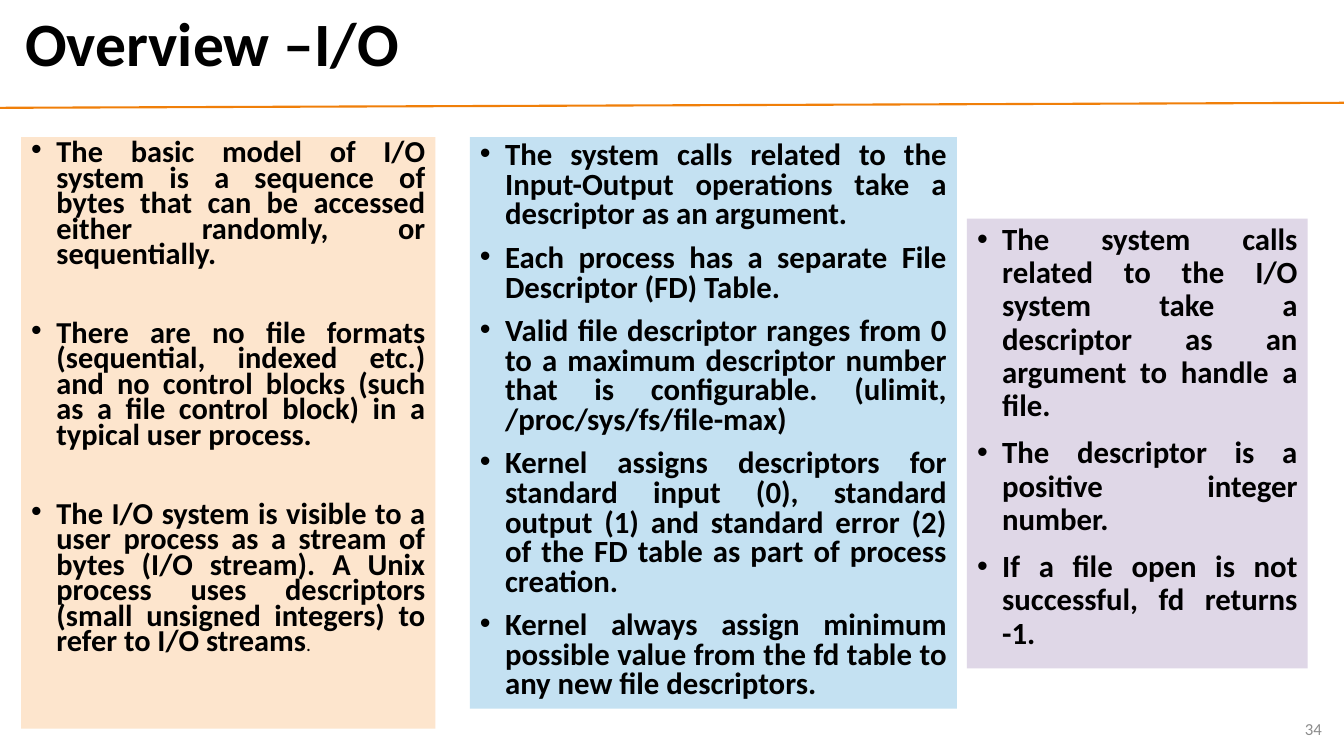
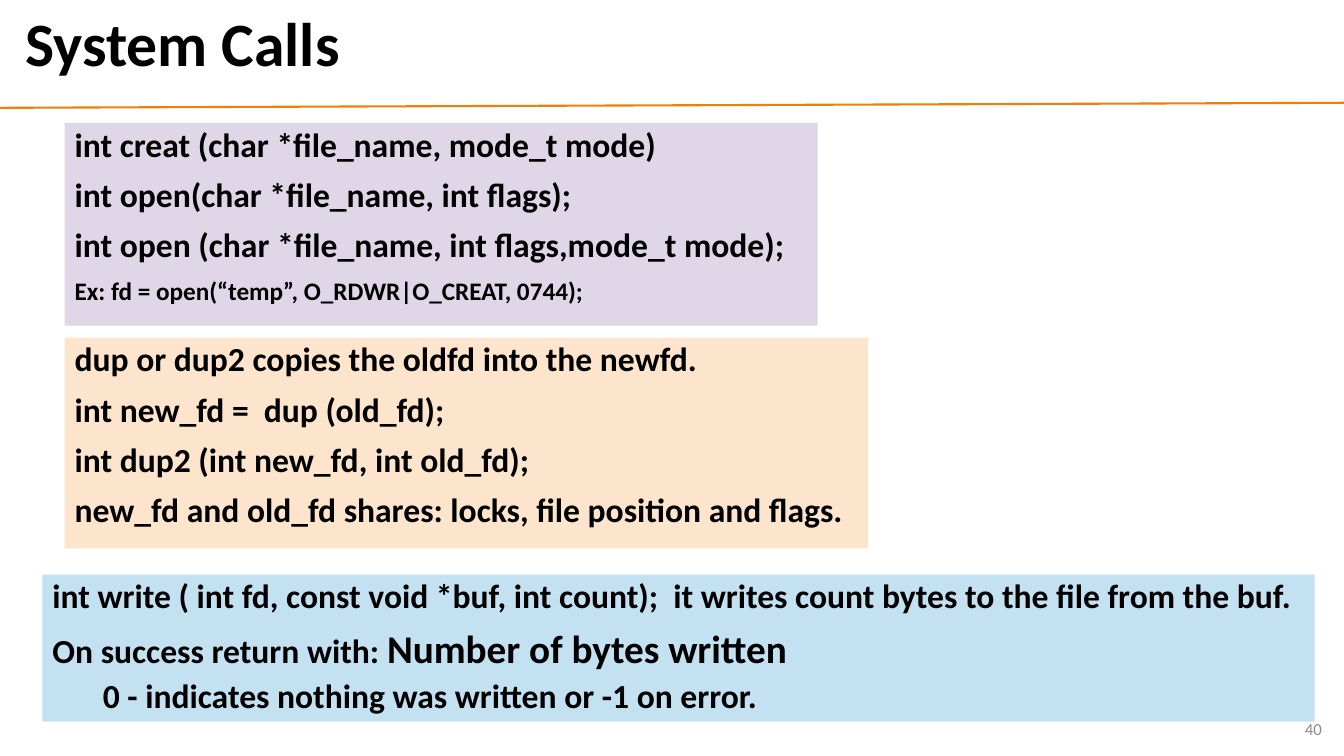
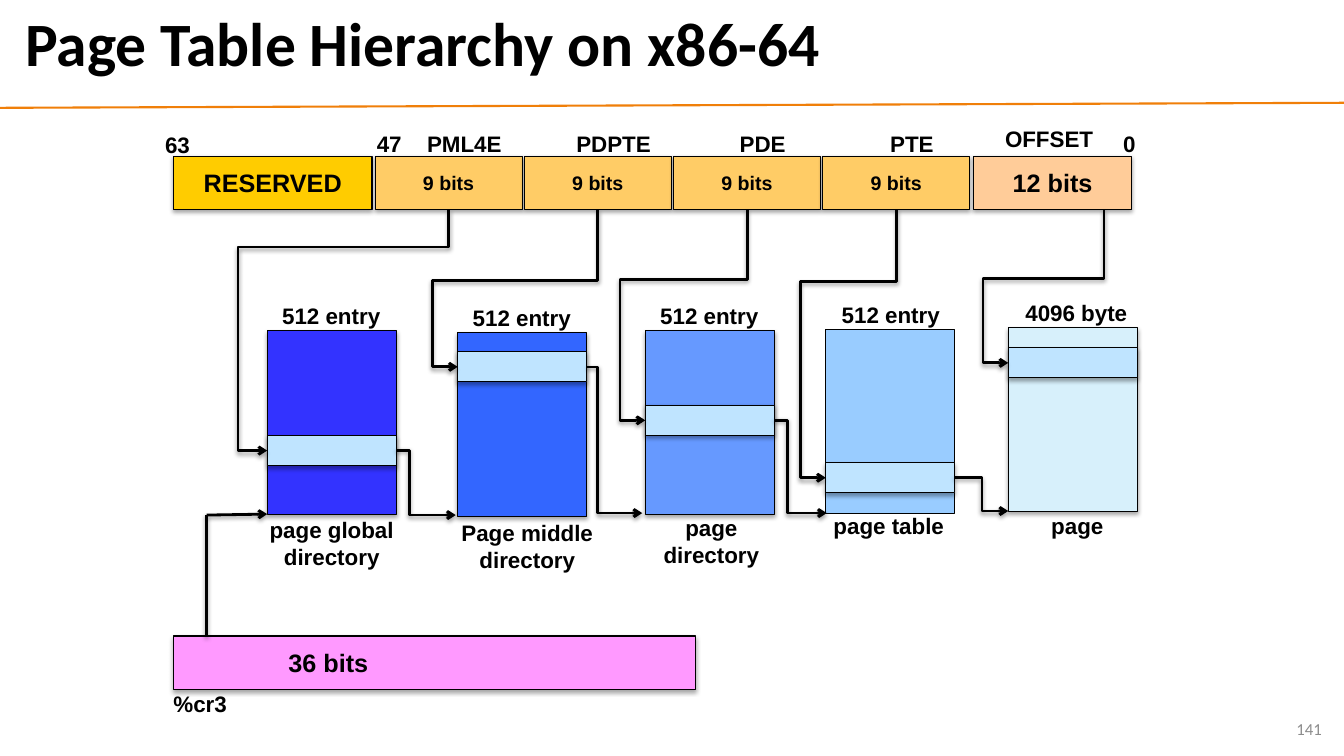
from dataclasses import dataclass

from lxml import etree
from pptx import Presentation
from pptx.dml.color import RGBColor
from pptx.enum.shapes import MSO_CONNECTOR, MSO_SHAPE
from pptx.enum.text import MSO_ANCHOR, MSO_AUTO_SIZE, PP_ALIGN
from pptx.oxml.ns import qn
from pptx.shapes.autoshape import Shape
from pptx.shapes.connector import Connector
from pptx.slide import Slide
from pptx.text.text import Font, TextFrame
from pptx.util import Emu, Pt

PX = 9144  # EMU; 100 px to the inch
PAGE_WIDTH, PAGE_HEIGHT = 1333, 750
COMPARISON_LAYOUT, TITLE_ONLY_LAYOUT = 4, 5

BLACK = RGBColor(0x00, 0x00, 0x00)
GREY = RGBColor(0x8C, 0x8C, 0x8C)
ORANGE = RGBColor(0xF0, 0x7F, 0x09)
PEACH = RGBColor(0xFD, 0xE5, 0xCD)
SKY = RGBColor(0xC4, 0xE1, 0xF2)
LILAC = RGBColor(0xDF, 0xD7, 0xE7)
GOLD = RGBColor(0xFF, 0xCC, 0x00)
AMBER = RGBColor(0xFF, 0xCC, 0x66)
APRICOT = RGBColor(0xFF, 0xCC, 0x99)
PINK = RGBColor(0xFF, 0x99, 0xFF)
SLOT_BLUE = RGBColor(0xBF, 0xE4, 0xFF)

LEFT, CENTER = PP_ALIGN.LEFT, PP_ALIGN.CENTER
RIGHT, JUSTIFY = PP_ALIGN.RIGHT, PP_ALIGN.JUSTIFY
TOP, MIDDLE = MSO_ANCHOR.TOP, MSO_ANCHOR.MIDDLE
NO_AUTOFIT = MSO_AUTO_SIZE.NONE
STRAIGHT, ELBOW = MSO_CONNECTOR.STRAIGHT, MSO_CONNECTOR.ELBOW
RECTANGLE = MSO_SHAPE.RECTANGLE
LEFT_SIDE, BOTTOM_SIDE = 1, 2

FIELD_TOP, FIELD_HEIGHT = 155, 53
FIRST_INDEX_X, INDEX_PITCH, INDEX_WIDTH = 372, 148, 146
TABLE_WIDTH, TABLE_HEIGHT, SLOT_HEIGHT = 128, 182, 30


@dataclass(frozen=True)
class Area:
    x: int
    y: int
    width: int
    height: int

    def emu(self) -> tuple[Emu, ...]:
        return tuple(Emu(n * PX) for n in (self.x, self.y, self.width, self.height))


@dataclass(frozen=True)
class Span:
    text: str
    size: float
    bold: bool = True


@dataclass(frozen=True)
class Para:
    spans: tuple[Span, ...]
    before: float = 10
    level: int = 0


@dataclass(frozen=True)
class Panel:
    area: Area
    color: RGBColor
    paras: tuple[Para, ...]
    line_spacing: float = 0.9
    bulleted: bool = False


@dataclass(frozen=True)
class Field:
    text: str
    x: int
    width: int
    color: RGBColor
    size: int = 18


@dataclass(frozen=True)
class PageTable:
    x: int
    top: int
    color: RGBColor
    slot_top: int
    turn_y: int
    lane_x: int
    heading: str
    heading_x: int
    caption: str
    caption_area: Area
    shadowed: bool = True


def plain(text: str, size: float, before: float = 10, level: int = 0) -> Para:
    return Para((Span(text, size),), before, level)


def style_font(font: Font, size: float, bold: bool = True,
               color: RGBColor = BLACK, name: str = "Calibri") -> None:
    font.name, font.size, font.bold = name, Pt(size), bold
    font.color.rgb = color


def write_line(frame: TextFrame, text: str, size: float, align: PP_ALIGN, anchor: MSO_ANCHOR,
               bold: bool = True, color: RGBColor = BLACK, name: str = "Calibri") -> None:
    frame.word_wrap = True
    frame.auto_size = NO_AUTOFIT
    frame.vertical_anchor = anchor
    para = frame.paragraphs[0]
    para.text, para.alignment = text, align
    style_font(para.font, size, bold, color, name)


def add_line(page: Slide, kind: MSO_CONNECTOR, start: tuple[int, int], end: tuple[int, int],
             color: RGBColor = BLACK, width: float = 2) -> Connector:
    line = page.shapes.add_connector(kind, *(Emu(n * PX) for n in (*start, *end)))
    line.line.color.rgb, line.line.width = color, Pt(width)
    etree.SubElement(line._element.spPr, qn("a:effectLst"))
    return line


def add_shadow(shape: Shape | Connector, alpha: int, distance: int) -> None:
    """Fill the existing effect list with a soft shadow falling straight down."""
    effects = shape._element.spPr.find(qn("a:effectLst"))
    shadow = etree.SubElement(effects, qn("a:outerShdw"), blurRad="40000", dist=str(distance),
                              dir="5400000", rotWithShape="0")
    black = etree.SubElement(shadow, qn("a:srgbClr"), val="000000")
    etree.SubElement(black, qn("a:alpha"), val=str(alpha * 1000))


def add_arrowhead(line: Connector) -> None:
    outline = line._element.spPr.find(qn("a:ln"))
    etree.SubElement(outline, qn("a:tailEnd"), type="arrow")


def set_bends(line: Connector, preset: str, *ratios: float) -> None:
    geometry = line._element.spPr.find(qn("a:prstGeom"))
    geometry.set("prst", preset)
    guides = geometry.find(qn("a:avLst"))
    if guides is None:
        guides = etree.SubElement(geometry, qn("a:avLst"))
    for number, ratio in enumerate(ratios, 1):
        etree.SubElement(guides, qn("a:gd"), name=f"adj{number}",
                         fmla=f"val {round(ratio * 100000)}")


def start_page(deck: Presentation, layout: int, title: str, number: int) -> Slide:
    page = deck.slides.add_slide(deck.slide_layouts[layout])
    add_line(page, STRAIGHT, (0, 107), (PAGE_WIDTH, 102), ORANGE, 1.5)
    box = page.shapes.title
    box.left, box.top, box.width, box.height = Area(15, 5, 1289, 83).emu()
    write_line(box.text_frame, title, 44, LEFT, MIDDLE)
    box.text_frame.paragraphs[0].line_spacing = 0.9
    footer = page.shapes.add_textbox(*Area(1021, 703, 300, 40).emu())
    write_line(footer.text_frame, str(number), 12, RIGHT, MIDDLE, False, GREY)
    return page


def fill_panel(box: Shape, panel: Panel) -> None:
    box.left, box.top, box.width, box.height = panel.area.emu()
    box.fill.solid()
    box.fill.fore_color.rgb = panel.color
    frame = box.text_frame
    frame.auto_size, frame.vertical_anchor = NO_AUTOFIT, TOP
    for index, item in enumerate(panel.paras):
        para = frame.add_paragraph() if index else frame.paragraphs[0]
        properties = para._p.get_or_add_pPr()
        properties.set("marL", str((25 + 50 * item.level) * PX))
        properties.set("indent", str(-25 * PX))
        if panel.bulleted:
            etree.SubElement(properties, qn("a:buFont"), typeface="Arial")
            etree.SubElement(properties, qn("a:buChar"), char="•")
        else:
            etree.SubElement(properties, qn("a:buNone"))
        para.level = item.level
        para.alignment = JUSTIFY if panel.bulleted else LEFT
        para.line_spacing = panel.line_spacing
        para.space_before = Pt(item.before if index else 0)
        for span in item.spans:
            run = para.add_run()
            run.text = span.text
            font = para.font if len(item.spans) == 1 else run.font
            style_font(font, span.size, span.bold)


def add_panel_page(deck: Presentation, title: str, number: int, panels: tuple[Panel, ...]) -> None:
    page = start_page(deck, COMPARISON_LAYOUT, title, number)
    bodies = [box for box in page.placeholders if box.placeholder_format.idx]
    for box, panel in zip(bodies, panels):
        fill_panel(box, panel)
    for box in bodies[len(panels):]:
        box._element.getparent().remove(box._element)


def add_block(page: Slide, area: Area, color: RGBColor, shadowed: bool = True) -> Shape:
    block = page.shapes.add_shape(RECTANGLE, *area.emu())
    block.shadow.inherit = False
    block.fill.solid()
    block.fill.fore_color.rgb = color
    block.line.color.rgb, block.line.width = BLACK, Pt(0.75)
    if shadowed:
        add_shadow(block, 35, 23000)
    return block


def add_label(page: Slide, text: str, area: Area) -> None:
    box = page.shapes.add_textbox(*area.emu())
    write_line(box.text_frame, text, 16, CENTER, TOP, name="Arial")


def add_field(page: Slide, field: Field) -> Shape:
    block = add_block(page, Area(field.x, FIELD_TOP, field.width, FIELD_HEIGHT), field.color)
    write_line(block.text_frame, field.text, field.size, CENTER, MIDDLE, name="Arial")
    return block


def add_table_block(page: Slide, table: PageTable) -> Shape:
    """Draw a table with its labels and return its highlighted slot."""
    add_block(page, Area(table.x, table.top, TABLE_WIDTH, TABLE_HEIGHT),
              table.color, table.shadowed)
    slot = add_block(page, Area(table.x, table.slot_top, TABLE_WIDTH, SLOT_HEIGHT), SLOT_BLUE)
    add_label(page, table.heading, Area(table.heading_x, table.top - 33, 141, 37))
    add_label(page, table.caption, table.caption_area)
    return slot


def link_field(page: Slide, field: Shape, slot: Shape, table: PageTable,
               start_x: int | None = None) -> None:
    """Lead from a field's bottom down, left and down again, then right into a slot."""
    middle_x = (field.left + field.width // 2) // PX
    x1, y1 = start_x or middle_x, FIELD_TOP + FIELD_HEIGHT
    x2, y2 = table.x, table.slot_top + SLOT_HEIGHT // 2
    line = add_line(page, ELBOW, (x1, y1), (x2, y2))
    if start_x is None:
        line.begin_connect(field, BOTTOM_SIDE)
    line.end_connect(slot, LEFT_SIDE)
    across, down = x1 - x2, y2 - y1
    frame = line._element.spPr.find(qn("a:xfrm"))
    for flip in ("flipH", "flipV"):
        frame.attrib.pop(flip, None)
    frame.set("rot", "5400000")
    line.left, line.top = Emu((x1 + x2 - down) * PX // 2), Emu((y1 + y2 - across) * PX // 2)
    line.width, line.height = Emu(down * PX), Emu(across * PX)
    set_bends(line, "bentConnector4", (table.turn_y - y1) / down, (x1 - table.lane_x) / across)
    add_shadow(line, 38, 20000)
    add_arrowhead(line)


def link_tables(page: Slide, table: PageTable, lane_x: int, end: tuple[int, int]) -> None:
    start_x = table.x + TABLE_WIDTH
    line = add_line(page, ELBOW, (start_x, table.slot_top + SLOT_HEIGHT // 2), end)
    set_bends(line, "bentConnector3", (lane_x - start_x) / (end[0] - start_x))
    add_shadow(line, 38, 20000)
    add_arrowhead(line)


def add_hierarchy_page(deck: Presentation) -> None:
    page = start_page(deck, TITLE_ONLY_LAYOUT, "Page Table Hierarchy on x86-64", 141)
    add_field(page, Field("RESERVED", 172, 197, GOLD))
    fields = []
    for index, name in enumerate(("PML4E", "PDPTE", "PDE", "PTE")):
        x = FIRST_INDEX_X + INDEX_PITCH * index
        fields.append(add_field(page, Field("9 bits", x, INDEX_WIDTH, AMBER, 14)))
        add_label(page, name, Area(x + 30, 124, 117, 37))
    fields.append(add_field(page, Field("12 bits", 966, 156, APRICOT)))
    add_label(page, "OFFSET", Area(982, 119, 117, 37))
    for bit, x, y in (("63", 147, 125), ("47", 357, 124), ("0", 1091, 124)):
        add_label(page, bit, Area(x, y, 58, 37))

    slots = [add_table_block(page, table) for table in TABLES]
    for field, slot, table in zip(fields, slots, TABLES):
        link_field(page, field, slot, table, 1095 if table is TABLES[-1] else None)
    hops = ((406, (452, 511)), (593, (637, 509)), (781, (820, 509)), (974, (1000, 507)))
    for table, (lane_x, end) in zip(TABLES, hops):
        link_tables(page, table, lane_x, end)

    register = add_block(page, Area(172, 631, 518, 53), PINK)
    write_line(register.text_frame, "36 bits", 18, LEFT, MIDDLE, name="Arial")
    register.text_frame.margin_left = Emu(114 * PX)
    add_label(page, "%cr3", Area(159, 680, 79, 37))
    riser = add_line(page, STRAIGHT, (205, 511), (205, 631))
    pointer = add_line(page, STRAIGHT, (205, 511), (265, 510))
    for line in (riser, pointer):
        add_shadow(line, 38, 20000)
    add_arrowhead(pointer)


TABLES = (
    PageTable(265, 328, RGBColor(0x33, 0x33, 0xFF), 432, 245, 236, "512 entry", 258,
              "page global directory", Area(249, 507, 160, 64)),
    PageTable(454, 330, RGBColor(0x33, 0x66, 0xFF), 349, 278, 429, "512 entry", 447,
              "Page middle directory", Area(443, 510, 160, 64)),
    PageTable(640, 328, RGBColor(0x66, 0x99, 0xFF), 402, 277, 615, "512 entry", 633,
              "page directory", Area(635, 505, 141, 64)),
    PageTable(819, 327, RGBColor(0x99, 0xCC, 0xFF), 459, 279, 794, "512 entry", 813,
              "page table", Area(811, 503, 141, 37), shadowed=False),
    PageTable(1000, 325, RGBColor(0xD7, 0xF0, 0xFB), 345, 276, 975, "4096 byte", 997,
              "page", Area(998, 503, 141, 37)),
)

OVERVIEW_PANELS = (
    Panel(Area(21, 136, 411, 587), PEACH, (
        plain("The basic model of I/O system is a sequence of bytes that can be accessed "
              "either randomly, or sequentially.", 21.7),
        plain("There are no file formats (sequential, indexed etc.) and no control blocks "
              "(such as a file control block) in a typical user process.", 21.7, 38),
        Para((Span("The I/O system is visible to a user process as a stream of bytes "
                   "(I/O stream). A Unix process uses descriptors (small unsigned integers) "
                   "to refer to I/O streams", 21.7), Span(".", 13.9, False)), 38),
    ), 0.7, True),
    Panel(Area(466, 136, 483, 567), SKY, tuple(plain(text, 22) for text in (
        "The system calls related to the Input-Output operations take a descriptor "
        "as an argument.",
        "Each process has a separate File Descriptor (FD) Table.",
        "Valid file descriptor ranges from 0 to a maximum descriptor number that is "
        "configurable. (ulimit, /proc/sys/fs/file-max)",
        "Kernel assigns descriptors for standard input (0), standard output (1) and "
        "standard error (2) of the FD table as part of process creation.",
        "Kernel always assign minimum possible value from the fd table to any new "
        "file descriptors.",
    )), 0.8, True),
    Panel(Area(959, 217, 338, 446), LILAC, tuple(plain(text, 22) for text in (
        "The system calls related to the I/O system take a descriptor as an argument "
        "to handle a file.",
        "The descriptor is a positive integer number.",
        "If a file open is not successful, fd returns -1.",
    )), bulleted=True),
)

CALL_PANELS = (
    Panel(Area(64, 122, 747, 201), LILAC, (
        plain("int creat (char *file_name, mode_t mode)", 24),
        plain("int open(char *file_name, int flags);", 24),
        plain("int open (char *file_name, int flags,mode_t mode);", 24),
        plain("Ex: fd = open(“temp”, O_RDWR|O_CREAT, 0744);", 18),
    )),
    Panel(Area(64, 335, 797, 209), PEACH, tuple(plain(text, 24) for text in (
        "dup or dup2 copies the oldfd into the newfd.",
        "int new_fd =  dup (old_fd);",
        "int dup2 (int new_fd, int old_fd);",
        "new_fd and old_fd shares: locks, file position and flags.",
    ))),
    Panel(Area(42, 570, 1262, 146), SKY, (
        plain("int write ( int fd, const void *buf, int count);  it writes count bytes "
              "to the file from the buf.", 24),
        Para((Span("On success return with: ", 24), Span("Number of bytes written", 28))),
        plain("0 - indicates nothing was written or -1 on error.", 24, 5, 1),
    )),
)


def main() -> None:
    deck = Presentation()
    deck.slide_width, deck.slide_height = Emu(PAGE_WIDTH * PX), Emu(PAGE_HEIGHT * PX)
    add_panel_page(deck, "Overview –I/O", 34, OVERVIEW_PANELS)
    add_panel_page(deck, "System Calls", 40, CALL_PANELS)
    add_hierarchy_page(deck)
    deck.save("out.pptx")


if __name__ == "__main__":
    main()
